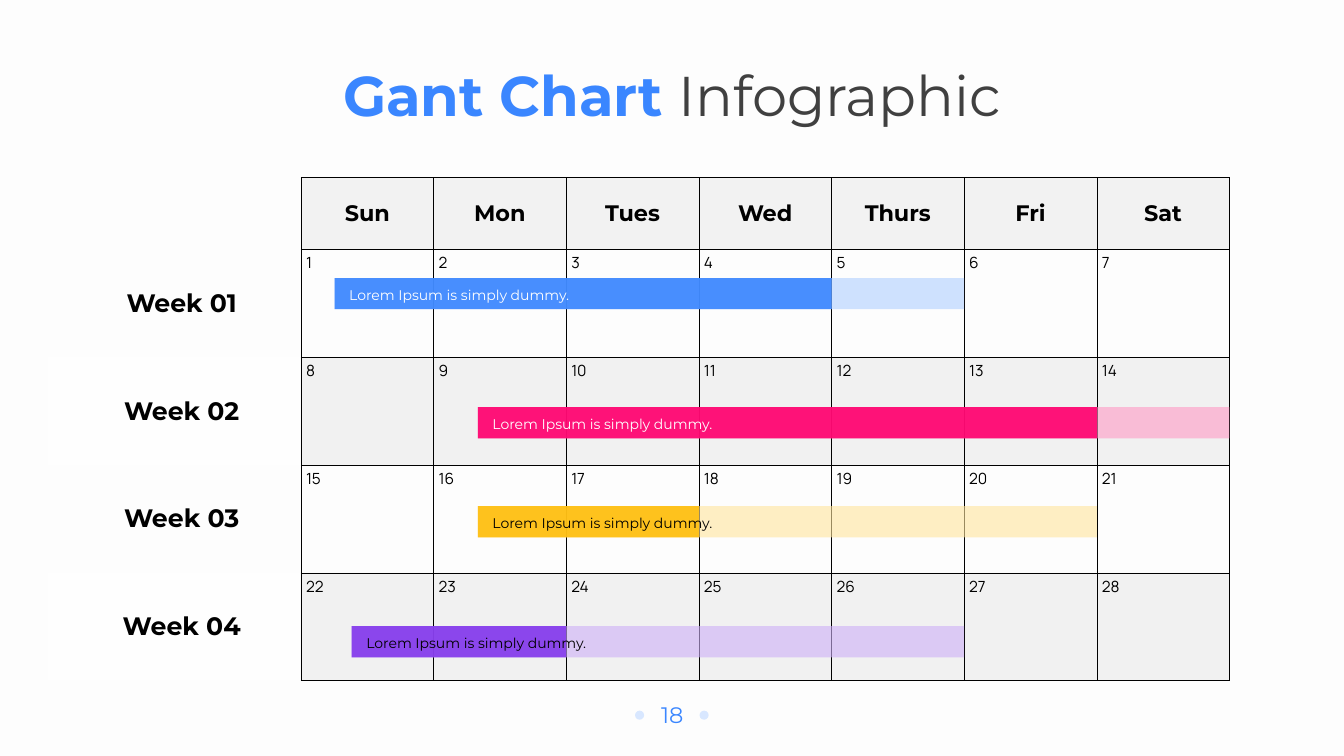
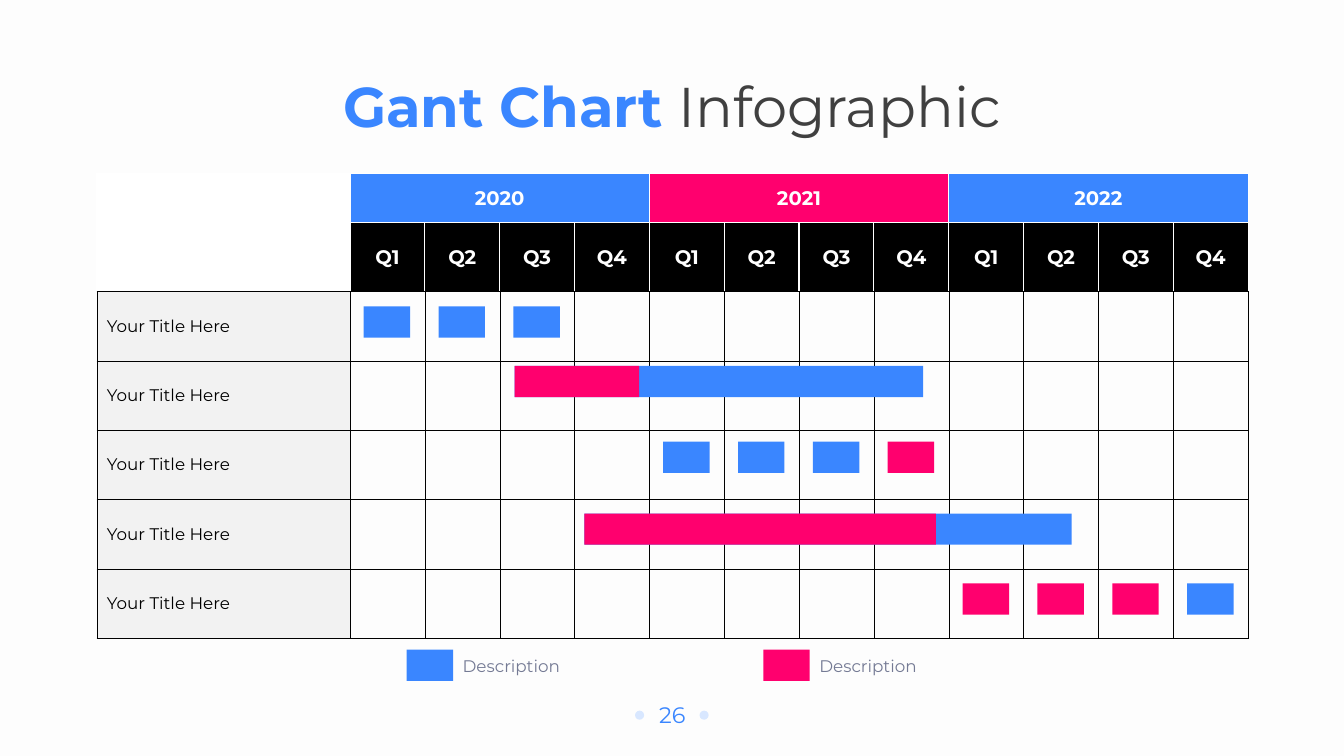
import pptx
import pptx.dml.color
import pptx.enum.shapes
import pptx.enum.text
import pptx.oxml
import pptx.oxml.ns
import pptx.util

Pt = pptx.util.Pt
ALIGN = pptx.enum.text.PP_ALIGN
ANCHOR = pptx.enum.text.MSO_ANCHOR
SHAPE = pptx.enum.shapes.MSO_SHAPE

BLUE, PINK, YELLOW, PURPLE = "3A86FF", "FF006E", "FFBE0B", "8338EC"
BLACK, WHITE, PALE_GRAY, BAND_GRAY = "000000", "FFFFFF", "F2F2F2", "E7E6E6"
BACKGROUND, PALE_BLUE, DARK_GRAY, SLATE = "FDFDFD", "D8E7FF", "404040", "747A94"
PLAIN_TABLE_STYLE = "{2D5ABB26-0587-4C30-8999-92F81FD0307C}"
HAIRLINE = (BLACK, 0.25)
DIVIDER = (WHITE, 1)
BAR_HEIGHT = 22.3


def paint(fill, colour, opacity=100):
    """Fill with a hex colour at an opacity in percent; None means no fill."""
    if colour is None:
        fill.background()
        return
    fill.solid()
    fill.fore_color.rgb = pptx.dml.color.RGBColor.from_string(colour)
    if opacity < 100:
        namespaces = {"a": pptx.oxml.ns.nsuri("a")}
        tint = fill._xPr.find("a:solidFill/a:srgbClr", namespaces)
        alpha = pptx.oxml.parse_xml(f"<a:alpha {pptx.oxml.ns.nsdecls('a')}/>")
        alpha.set("val", str(opacity * 1000))
        tint.append(alpha)


class Deck:
    """Holds the shared style and the slide being drawn."""

    font = "Montserrat"

    def __init__(self):
        self.presentation = pptx.Presentation()
        self.presentation.slide_width = Pt(960)
        self.presentation.slide_height = Pt(540)
        paint(self.presentation.slide_master.background.fill, BACKGROUND)
        self.slide = None

    def add_slide(self, page, title_top):
        layout = self.presentation.slide_layouts.get_by_name("Title Only")
        self.slide = self.presentation.slides.add_slide(layout)
        self.title(title_top)
        self.text(page, 457.9, 497.5, 44.6, 26.6, 16, BLUE, ALIGN.CENTER)
        for left in (453.6, 499.7):
            self.block(left, 507.6, 6.5, 6.5, PALE_BLUE, shape_kind=SHAPE.OVAL)

    def title(self, top):
        heading = self.slide.shapes.title
        heading.left, heading.top = Pt(234), Pt(top)
        heading.width, heading.height = Pt(492), Pt(55.4)
        heading.text_frame.auto_size = pptx.enum.text.MSO_AUTO_SIZE.NONE
        heading.text_frame.vertical_anchor = ANCHOR.MIDDLE
        paragraph = heading.text_frame.paragraphs[0]
        paragraph.alignment = ALIGN.CENTER
        paragraph.font.name, paragraph.font.size = self.font, Pt(40)
        for words, colour, bold in (("Gant Chart ", BLUE, True),
                                    ("Infographic", DARK_GRAY, False)):
            run = paragraph.add_run()
            run.text = words
            run.font.bold = bold
            paint(run.font.fill, colour)

    def fill_text(self, frame, words, size, colour, align=ALIGN.LEFT,
                  bold=False, font=None):
        paragraph = frame.paragraphs[0]
        paragraph.text = words
        paragraph.alignment = align
        paragraph.font.name = font or self.font
        paragraph.font.size, paragraph.font.bold = Pt(size), bold
        paint(paragraph.font.fill, colour)

    def text(self, words, left, top, width, height, size, colour,
             align=ALIGN.LEFT):
        box = self.slide.shapes.add_textbox(Pt(left), Pt(top), Pt(width),
                                            Pt(height))
        box.text_frame.word_wrap = True
        self.fill_text(box.text_frame, words, size, colour, align)

    def block(self, left, top, width, height, colour, opacity=100,
              shape_kind=SHAPE.RECTANGLE):
        block = self.slide.shapes.add_shape(shape_kind, Pt(left), Pt(top),
                                            Pt(width), Pt(height))
        block.shadow.inherit = False
        paint(block.fill, colour, opacity)
        block.line.fill.background()

    def progress_bar(self, left, top, done_right, right, done, planned,
                     done_opacity=100, planned_opacity=100):
        """Draw the planned span with the finished part on top of it."""
        self.block(left, top, right - left, BAR_HEIGHT, planned, planned_opacity)
        self.block(left, top, done_right - left, BAR_HEIGHT, done, done_opacity)

    def chip(self, left, top, colour):
        self.block(left, top, 33.2, BAR_HEIGHT, colour)

    def table(self, left, top, columns, rows):
        frame = self.slide.shapes.add_table(
            len(rows), len(columns), Pt(left), Pt(top), Pt(sum(columns)),
            Pt(sum(rows)))
        grid = frame.table
        grid.first_row = grid.horz_banding = False
        style = grid._tbl.tblPr.find(pptx.oxml.ns.qn("a:tableStyleId"))
        style.text = PLAIN_TABLE_STYLE
        for column, width in zip(grid.columns, columns):
            column.width = Pt(width)
        for row, height in zip(grid.rows, rows):
            row.height = Pt(height)
        return grid

    def cell(self, cell, fill=None, opacity=100, borders=None,
             anchor=ANCHOR.MIDDLE, margins=(7.2, 3.6, 7.2, 3.6)):
        """Style a cell; borders maps L, R, T and B to (colour, width)."""
        cell.vertical_anchor = anchor
        (cell.margin_left, cell.margin_top, cell.margin_right,
         cell.margin_bottom) = map(Pt, margins)
        properties = cell._tc.get_or_add_tcPr()
        for side in "LRTB":
            if side in (borders or {}):
                colour, width = borders[side]
                properties.append(pptx.oxml.parse_xml(
                    f'<a:ln{side} {pptx.oxml.ns.nsdecls("a")} w="{Pt(width)}">'
                    f'<a:solidFill><a:srgbClr val="{colour}"/></a:solidFill>'
                    f'</a:ln{side}>'))
        paint(cell.fill, fill, opacity)


def draw_month(deck):
    deck.add_slide("18", 39.6)
    label_width, day_width, header_height, week_height = 181.2, 94.75, 51.4, 77
    left, top = 33.8, 126.8
    days_left = left + label_width
    days = ["Sun", "Mon", "Tues", "Wed", "Thurs", "Fri", "Sat"]
    calendar = deck.table(left, top, [label_width] + [day_width] * len(days),
                          [header_height] + [week_height] * 4)
    box = dict.fromkeys("LRTB", HAIRLINE)
    margins = (3.6, 2.2, 3.6, 2.2)

    deck.cell(calendar.cell(0, 0), borders={"R": HAIRLINE})
    for column, day in enumerate(days, 1):
        cell = calendar.cell(0, column)
        deck.cell(cell, PALE_GRAY, borders=box, margins=margins)
        deck.fill_text(cell.text_frame, day, 16, BLACK, ALIGN.CENTER, True)
    for week in range(1, 5):
        banded = week % 2 == 0
        label = calendar.cell(week, 0)
        deck.cell(label, WHITE if banded else None, 50, {"R": HAIRLINE},
                  margins=(14.4,) + margins[1:])
        deck.fill_text(label.text_frame, f"Week {week:02}", 18, BLACK,
                       ALIGN.CENTER, True)
        for column in range(1, len(days) + 1):
            cell = calendar.cell(week, column)
            deck.cell(cell, BAND_GRAY if banded else None, 50, box, ANCHOR.TOP,
                      margins)
            date = (week - 1) * len(days) + column
            deck.fill_text(cell.text_frame, str(date), 11, BLACK,
                           font="Manrope")

    tasks = [  # left, top, days done, days planned, colours
        (239, 198.6, 4, 5, BLUE, "B0CFFF", WHITE),
        (341.3, 290.8, 6, 7, PINK, "FF99C5", WHITE),
        (341.3, 361.6, 3, 6, YELLOW, "FFE59D", BLACK),
        (251.2, 447.2, 2, 5, PURPLE, "CDAFF7", BLACK),
    ]
    for start, bar_top, done_days, all_days, done, planned, ink in tasks:
        deck.progress_bar(start, bar_top, days_left + done_days * day_width,
                          days_left + all_days * day_width, done, planned,
                          90, 60)
        deck.text("Lorem Ipsum is simply dummy.", start + 3.4, bar_top + 2.7,
                  299.5, 19.4, 10, ink)


def draw_quarters(deck):
    deck.add_slide("26", 47.7)
    label_width, quarter_width = 180.8, 53.47
    left, top = 69.2, 124
    quarters_left = left + label_width
    years = [("2020", BLUE), ("2021", PINK), ("2022", BLUE)]
    schedule = deck.table(left, top, [label_width] + [quarter_width] * 12,
                          [35, 49.2] + [49.6] * 5)
    dividers = dict.fromkeys("LRTB", DIVIDER)
    above_body = {**dividers, "B": HAIRLINE}
    box = dict.fromkeys("LRTB", HAIRLINE)

    deck.cell(schedule.cell(0, 0), WHITE, borders=above_body)
    deck.cell(schedule.cell(1, 0), WHITE, borders=above_body)
    schedule.cell(0, 0).merge(schedule.cell(1, 0))
    for index, (year, colour) in enumerate(years):
        first = 1 + 4 * index
        for quarter in range(4):
            deck.cell(schedule.cell(0, first + quarter), colour,
                      borders=dividers)
            cell = schedule.cell(1, first + quarter)
            deck.cell(cell, BLACK, borders=above_body)
            deck.fill_text(cell.text_frame, f"Q{quarter + 1}", 14, WHITE,
                           ALIGN.CENTER, True)
        heading = schedule.cell(0, first)
        heading.merge(schedule.cell(0, first + 3))
        deck.fill_text(heading.text_frame, year, 14, WHITE, ALIGN.CENTER, True)
    for row in range(2, 7):
        label = schedule.cell(row, 0)
        deck.cell(label, PALE_GRAY, borders=box)
        deck.fill_text(label.text_frame, "Your Title Here", 12, BLACK)
        for column in range(1, 13):
            deck.cell(schedule.cell(row, column), WHITE, 35, box)

    milestones = [  # first quarter, top, colours
        (0, 218.8, [BLUE] * 3),
        (4, 315.5, [BLUE] * 3 + [PINK]),
        (8, 416.7, [PINK] * 3 + [BLUE]),
    ]
    for first, chip_top, colours in milestones:
        for quarter, colour in enumerate(colours, first):
            deck.chip(quarters_left + quarter * quarter_width + 9.8, chip_top,
                      colour)
    deck.progress_bar(367.7, 261.4, 456.6, 659.5, PINK, BLUE)
    deck.progress_bar(417.5, 366.8, 668.5, 765.6, PINK, BLUE)

    for key_left, colour in ((290.4, BLUE), (545.2, PINK)):
        deck.chip(key_left, 464, colour)
        deck.text("Description", key_left + 33, 465.1, 134.6, 21.6, 12, SLATE)


def main():
    deck = Deck()
    draw_month(deck)
    draw_quarters(deck)
    deck.presentation.save("out.pptx")


if __name__ == "__main__":
    main()
